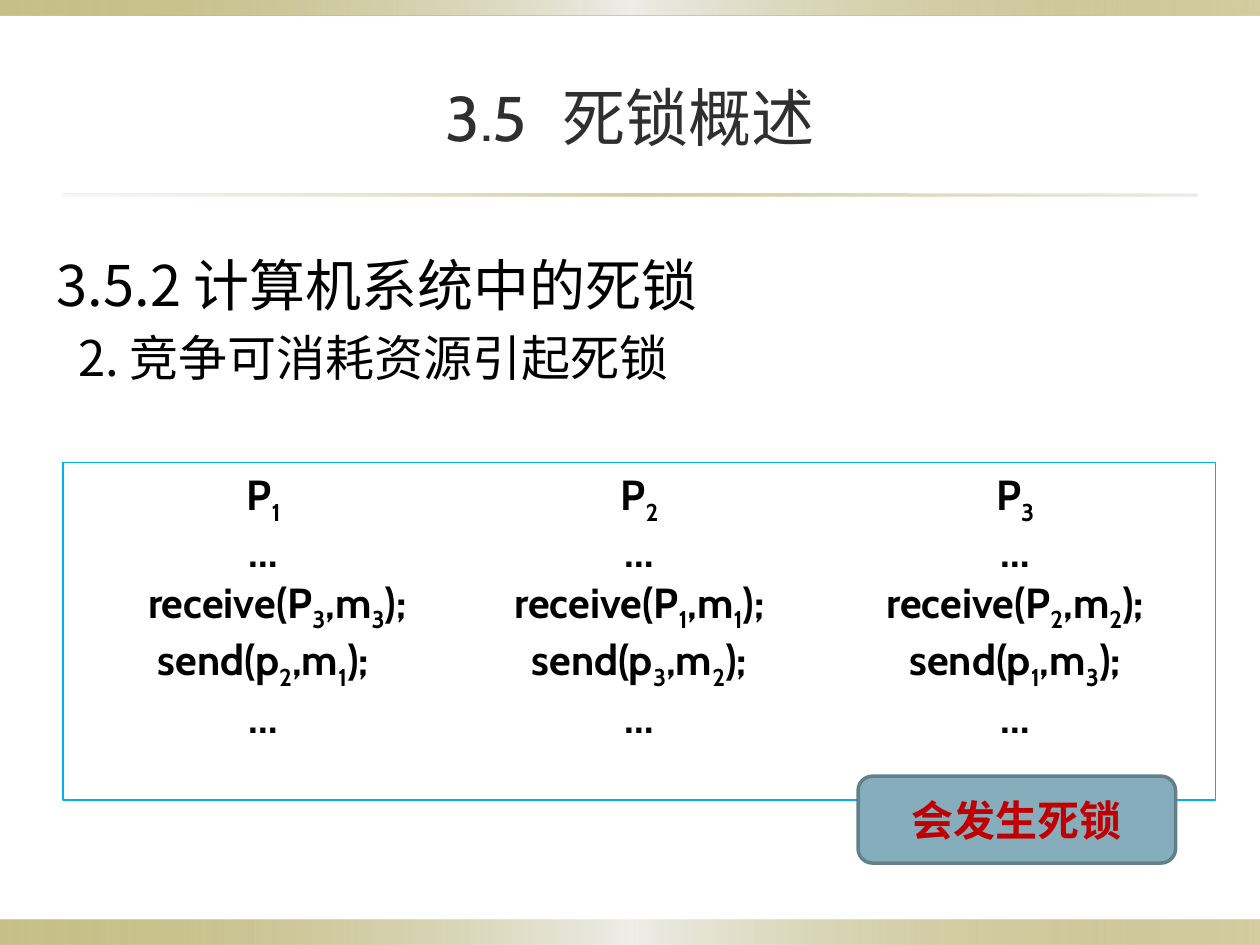
from dataclasses import dataclass
from itertools import groupby

from lxml.etree import SubElement
from pptx import Presentation
from pptx.dml.color import RGBColor
from pptx.enum.shapes import MSO_SHAPE as Shape
from pptx.enum.text import MSO_ANCHOR as Anchor, PP_ALIGN as Align
from pptx.oxml import parse_xml
from pptx.oxml.ns import nsdecls, qn
from pptx.util import Inches, Pt

LATIN, HAN = "Cabin", "Noto Sans CJK SC"
BLACK = RGBColor(0x00, 0x00, 0x00)
DARK = RGBColor(0x2F, 0x2F, 0x2F)
CYAN = RGBColor(0x00, 0xB0, 0xF0)
STEEL = RGBColor(0x85, 0xAD, 0xBC)
SLATE = RGBColor(0x62, 0x80, 0x8B)
RED = RGBColor(0xC0, 0x00, 0x00)
OLIVE = RGBColor(0x91, 0x84, 0x15)
PALE = RGBColor(0xEE, 0xED, 0xE8)
SAND = RGBColor(0xDC, 0xD9, 0xCC)


@dataclass
class Box:
    left: float
    top: float
    width: float
    height: float

    def emu(self) -> list:
        return [Inches(v) for v in (self.left, self.top, self.width, self.height)]


@dataclass
class Stop:
    pos: int
    color: RGBColor
    alpha: int = 100


@dataclass
class Band:
    box: Box
    stops: list[Stop]


@dataclass
class Process:
    name: str
    receive: str
    send: str
    shift: float = 0


EDGE = [Stop(0, OLIVE, 50), Stop(50, PALE), Stop(100, OLIVE, 40)]
RULE = [Stop(0, SAND, 20), Stop(50, OLIVE, 40), Stop(100, SAND, 50)]
BANDS = [
    Band(Box(0, 7.3, 10, 0.2), EDGE),
    Band(Box(0, 0, 10, 0.12), EDGE),
    Band(Box(0.5, 1.54, 9, 0.02), RULE),
]
PROCS = [
    Process("P1", "receive(P3,m3);", "send(p2,m1);", 0.22),
    Process("P2", "receive(P1,m1);", "send(p3,m2);"),
    Process("P3", "receive(P2,m2);", "send(p1,m3);"),
]
FRAME = Box(0.5, 3.67, 9.15, 2.68)
PAD = 0.1


def add_shape(slide, kind: Shape, box: Box):
    shape = slide.shapes.add_shape(kind, *box.emu())
    shape.shadow.inherit = False
    return shape


def draw_band(slide, band: Band) -> None:
    shape = add_shape(slide, Shape.RECTANGLE, band.box)
    shape.line.fill.background()
    shape.fill.background()
    stops = "".join(
        f'<a:gs pos="{s.pos * 1000}"><a:srgbClr val="{s.color}">'
        f'<a:alpha val="{s.alpha * 1000}"/></a:srgbClr></a:gs>'
        for s in band.stops
    )
    grad = parse_xml(
        f'<a:gradFill {nsdecls("a")}><a:gsLst>{stops}</a:gsLst>'
        '<a:lin ang="0" scaled="0"/></a:gradFill>'
    )
    props = shape._element.spPr
    props.replace(props.find(qn("a:noFill")), grad)


def style(para, size: int, color: RGBColor, name: str, bold: bool = False) -> None:
    font = para.font
    font.size, font.bold, font.name = Pt(size), bold, name
    font.color.rgb = color


def add_run(para, text: str, han: bool = False):
    """Add a run; Chinese text also gets its East Asian font."""
    run = para.add_run()
    run.text = text
    if han:
        run.font.name = HAN
        SubElement(run._r.get_or_add_rPr(), qn("a:ea")).set("typeface", HAN)
    return run


def place(holder, box: Box):
    holder.left, holder.top, holder.width, holder.height = box.emu()
    return holder.text_frame


def fill_title(slide) -> None:
    frame = place(slide.shapes.title, Box(0.5, 0.3, 9, 1.25))
    frame.vertical_anchor = Anchor.MIDDLE
    para = frame.paragraphs[0]
    para.alignment = Align.CENTER
    style(para, 36, DARK, LATIN)
    add_run(para, "3.5")
    gap = add_run(para, " ")
    gap._r.get_or_add_rPr().set("spc", "1200")
    add_run(para, "死锁概述", han=True)


def fill_body(slide) -> None:
    frame = place(slide.placeholders[1], Box(0.35, 1.94, 9.38, 1.57))
    lines = [("3.5.2 计算机系统中的死锁", 32, 0), ("2. 竞争可消耗资源引起死锁", 28, 0.17)]
    for i, (text, size, left) in enumerate(lines):
        para = frame.add_paragraph() if i else frame.paragraphs[0]
        props = para._p.get_or_add_pPr()
        props.set("marL", str(Inches(left)))
        props.set("indent", "0")
        SubElement(props, qn("a:buNone"))
        style(para, size, BLACK, HAN)
        add_run(para, text, han=True)


def draw_proc(slide, proc: Process, box: Box) -> None:
    """Write one column of code, with every digit as a subscript."""
    frame = slide.shapes.add_textbox(*box.emu()).text_frame
    frame.word_wrap = True
    frame.margin_left = frame.margin_right = 0
    for i, line in enumerate([proc.name, "…", proc.receive, proc.send, "…"]):
        para = frame.add_paragraph() if i else frame.paragraphs[0]
        para.alignment = Align.CENTER
        if line == proc.receive:
            para._p.get_or_add_pPr().set("marL", str(Inches(proc.shift)))
        style(para, 24, BLACK, LATIN, bold=True)
        for digit, part in groupby(line, str.isdigit):
            run = add_run(para, "".join(part))
            if digit:
                run._r.get_or_add_rPr().set("baseline", "-25000")


def draw_code(slide) -> None:
    frame = add_shape(slide, Shape.RECTANGLE, FRAME)
    frame.fill.background()
    frame.line.color.rgb = CYAN
    frame.line.width = Pt(0.75)
    width = (FRAME.width - 2 * PAD) / len(PROCS)
    for i, proc in enumerate(PROCS):
        left = FRAME.left + PAD + i * width
        draw_proc(slide, proc, Box(left, FRAME.top, width, FRAME.height))


def draw_note(slide) -> None:
    note = add_shape(slide, Shape.ROUNDED_RECTANGLE, Box(6.81, 6.16, 2.52, 0.69))
    note.fill.solid()
    note.fill.fore_color.rgb = STEEL
    note.line.color.rgb = SLATE
    note.line.width = Pt(2)
    note.text_frame.vertical_anchor = Anchor.MIDDLE
    para = note.text_frame.paragraphs[0]
    para.alignment = Align.CENTER
    style(para, 24, RED, LATIN, bold=True)
    add_run(para, "会发生死锁")


def main() -> None:
    deck = Presentation()
    deck.slide_width, deck.slide_height = Inches(10), Inches(7.5)
    slide = deck.slides.add_slide(deck.slide_layouts[1])
    for band in BANDS:
        draw_band(slide, band)
    fill_title(slide)
    fill_body(slide)
    draw_code(slide)
    draw_note(slide)
    deck.save("out.pptx")


if __name__ == "__main__":
    main()
